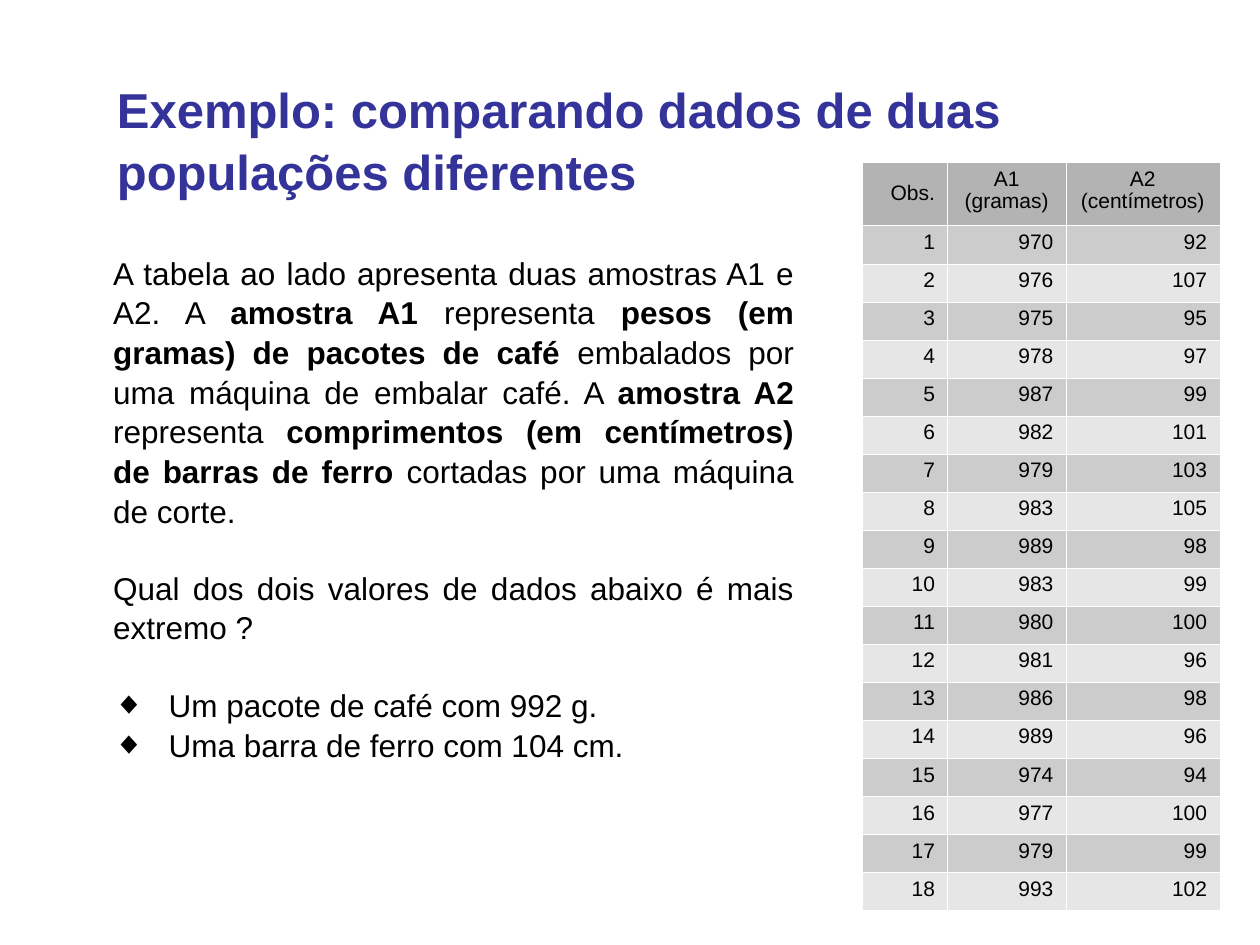
from dataclasses import dataclass

from lxml import etree
from pptx import Presentation
from pptx import util as u
from pptx.dml.color import RGBColor
from pptx.enum import text
from pptx.oxml.ns import qn

WIDE, HIGH = 10, 7.5
FONT = "Arial"
HUES = {"title": "333399", "ink": "000000", "rule": "FFFFFF",
        "head": "B3B3B3", "odd": "CCCCCC", "even": "E6E6E6"}
ALIGN = text.PP_ALIGN


@dataclass
class Box:
    """A frame in percent of the slide's width and height."""
    left: float
    top: float
    width: float
    height: float

    def emus(self) -> list[int]:
        return [u.Inches(WIDE * self.left / 100), u.Inches(HIGH * self.top / 100),
                u.Inches(WIDE * self.width / 100), u.Inches(HIGH * self.height / 100)]


@dataclass
class Para:
    """Words with bold parts between asterisks."""
    words: str
    size: int = 18
    hue: str = "ink"
    align: ALIGN = ALIGN.JUSTIFY
    before: float = 0
    bullet: bool = False
    lines: float = 1.05


@dataclass
class Block:
    box: Box
    paras: list[Para]


BLOCKS = [
    Block(Box(8.3, 7.47, 85.1, 15.73), [
        Para("*Exemplo: comparando dados de duas populações diferentes*",
             28, "title", ALIGN.LEFT)]),
    Block(Box(8, 26, 56, 31.33), [
        Para("A tabela ao lado apresenta duas amostras A1 e A2. A *amostra A1* "
             "representa *pesos (em gramas) de pacotes de café *embalados por uma "
             "máquina de embalar café. A *amostra A2* representa *comprimentos "
             "(em centímetros) de barras de ferro* cortadas por uma máquina de corte.")]),
    Block(Box(8, 59.33, 56, 22.67), [
        Para("Qual dos dois valores de dados abaixo é mais extremo ?"),
        Para("Um pacote de café com 992 g.", before=21.6, bullet=True),
        Para("Uma barra de ferro com 104 cm.", bullet=True)]),
]

GRID = Box(68.4, 17.2, 28.4, 79.2)
COLS = [0.68, 0.94, 1.22]
HEAD_ROW = 0.5
HEADS = [["Obs."], ["A1", "(gramas)"], ["A2", "(centímetros)"]]
GRAMS = [970, 976, 975, 978, 987, 982, 979, 983, 989,
         983, 980, 981, 986, 989, 974, 977, 979, 993]
CENTS = [92, 107, 95, 97, 99, 101, 103, 105, 98,
         99, 100, 96, 98, 96, 94, 100, 99, 102]


def color(name: str) -> RGBColor:
    return RGBColor.from_string(HUES[name])


def add_bullet(para) -> None:
    props = para._p.get_or_add_pPr()
    hang = u.Inches(0.44)
    props.set("marL", str(hang))
    props.set("indent", str(-hang))
    etree.SubElement(props, qn("a:buFont"), typeface=FONT)
    etree.SubElement(props, qn("a:buChar"), char="◆")


def fill_text(frame, paras: list[Para]) -> None:
    frame.word_wrap = True
    for i, item in enumerate(paras):
        para = frame.paragraphs[0] if i == 0 else frame.add_paragraph()
        para.alignment = item.align
        para.line_spacing = item.lines
        para.space_before = u.Pt(item.before)
        if item.bullet:
            add_bullet(para)
        para.font.name = FONT
        para.font.size = u.Pt(item.size)
        para.font.color.rgb = color(item.hue)
        for j, part in enumerate(item.words.split("*")):
            if part:
                run = para.add_run()
                run.text = part
                run.font.bold = j % 2 == 1


def rule_cell(cell) -> None:
    """Draw a hairline on all four sides, placed before the cell's fill."""
    props = cell._tc.get_or_add_tcPr()
    for i, side in enumerate(("lnL", "lnR", "lnT", "lnB")):
        line = etree.Element(qn(f"a:{side}"), w=str(u.Pt(0.06)))
        fill = etree.SubElement(line, qn("a:solidFill"))
        etree.SubElement(fill, qn("a:srgbClr"), val=HUES["rule"])
        props.insert(i, line)


def fill_cell(cell, lines: list[str], hue: str, align: ALIGN) -> None:
    cell.fill.solid()
    cell.fill.fore_color.rgb = color(hue)
    rule_cell(cell)
    fill_text(cell.text_frame,
              [Para(line, 12, align=align, lines=0.93) for line in lines])


def add_grid(slide) -> None:
    rows = [[[str(n)] for n in row]
            for row in zip(range(1, len(GRAMS) + 1), GRAMS, CENTS)]
    table = slide.shapes.add_table(len(rows) + 1, len(COLS), *GRID.emus()).table
    for col, width in zip(table.columns, COLS):
        col.width = u.Inches(width)
    step = (HIGH * GRID.height / 100 - HEAD_ROW) / len(rows)
    for r, row in enumerate([HEADS] + rows):
        table.rows[r].height = u.Inches(step if r else HEAD_ROW)
        hue = "head" if r == 0 else "odd" if r % 2 else "even"
        for c, lines in enumerate(row):
            align = ALIGN.CENTER if r == 0 and c else ALIGN.RIGHT
            fill_cell(table.cell(r, c), lines, hue, align)
    table.cell(0, 0).vertical_anchor = text.MSO_ANCHOR.MIDDLE


def main() -> None:
    deck = Presentation()
    deck.slide_width, deck.slide_height = u.Inches(WIDE), u.Inches(HIGH)
    slide = deck.slides.add_slide(deck.slide_layouts[6])
    for block in BLOCKS:
        frame = slide.shapes.add_textbox(*block.box.emus()).text_frame
        fill_text(frame, block.paras)
    add_grid(slide)
    deck.save("out.pptx")


if __name__ == "__main__":
    main()
